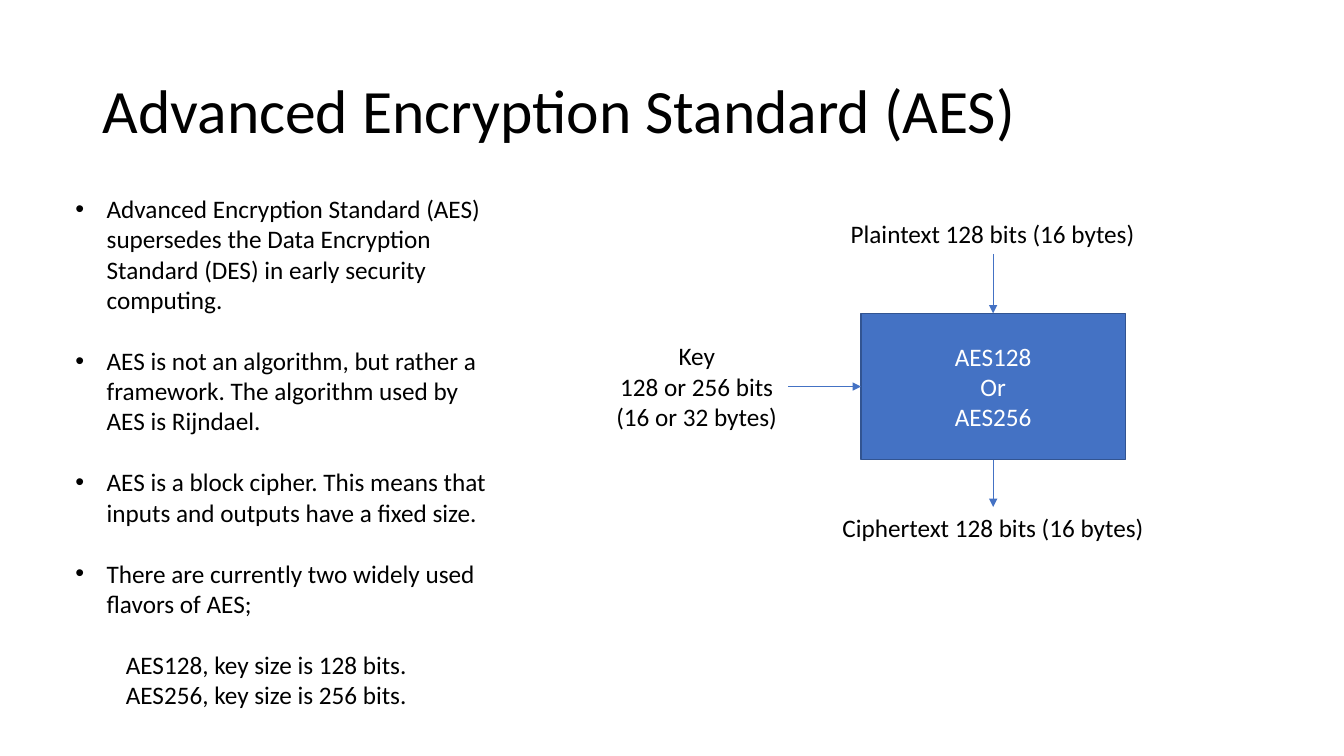
from lxml import etree
from pptx import Presentation
from pptx.dml.color import RGBColor
from pptx.enum.shapes import MSO_CONNECTOR, MSO_SHAPE
from pptx.enum.text import MSO_ANCHOR, PP_ALIGN
from pptx.oxml.ns import qn
from pptx.util import Inches, Pt

CENTER, LEFT = PP_ALIGN.CENTER, PP_ALIGN.LEFT
MIDDLE, TOP = MSO_ANCHOR.MIDDLE, MSO_ANCHOR.TOP
STRAIGHT, RECTANGLE = MSO_CONNECTOR.STRAIGHT, MSO_SHAPE.RECTANGLE

COLORS = {"text": "000000", "cipher": "4472C4", "outline": "325491", "cipher_text": "FFFFFF"}
FONT = "Calibri"
BODY_SIZE = 18
LINE_GAP = Pt(22)

BULLETS = [
    "Advanced Encryption Standard (AES) supersedes the Data Encryption Standard (DES) "
    "in early security computing.",
    "AES is not an algorithm, but rather a framework. The algorithm used by AES is Rijndael.",
    "AES is a block cipher. This means that inputs and outputs have a fixed size.",
    "There are currently two widely used flavors of AES;",
]
FLAVORS = ["AES128, key size is 128 bits.", "AES256, key size is 256 bits."]


def rgb(name):
    return RGBColor.from_string(COLORS[name])


def write(frame, lines, size=BODY_SIZE, color="text", align=LEFT, anchor=TOP):
    frame.text = "\n".join(lines)
    frame.vertical_anchor = anchor
    for paragraph in frame.paragraphs:
        paragraph.alignment = align
        font = paragraph.runs[0].font
        font.name, font.size = FONT, Pt(size)
        font.color.rgb = rgb(color)


def add_text(slide, box, lines, wrap=True, **style):
    frame = slide.shapes.add_textbox(*map(Inches, box)).text_frame
    frame.word_wrap = wrap
    write(frame, lines, **style)
    return frame


def add_label(slide, box, *lines):
    add_text(slide, box, lines, wrap=False, align=CENTER)


def indent(paragraph, left, first=0, bullet=None):
    """Set the paragraph's indents in inches and, if given, its bullet character."""
    properties = paragraph._p.get_or_add_pPr()
    properties.set("marL", str(Inches(left)))
    properties.set("indent", str(Inches(first)))
    if bullet:
        etree.SubElement(properties, qn("a:buFont"), typeface="Arial")
        etree.SubElement(properties, qn("a:buChar"), char=bullet)


def add_facts(slide):
    frame = add_text(slide, (0.65, 1.87, 4.34, 5.86), BULLETS + FLAVORS)
    for index, paragraph in enumerate(frame.paragraphs):
        if 0 < index <= len(BULLETS):
            paragraph.space_before = LINE_GAP
        if index < len(BULLETS):
            indent(paragraph, 0.31, -0.31, "•")
        else:
            paragraph.level = 1
            indent(paragraph, 0.5)


def add_cipher(slide, box, lines):
    cipher = slide.shapes.add_shape(RECTANGLE, *map(Inches, box))
    cipher.shadow.inherit = False
    cipher.fill.solid()
    cipher.fill.fore_color.rgb = rgb("cipher")
    cipher.line.color.rgb = rgb("outline")
    cipher.line.width = Pt(1)
    write(cipher.text_frame, lines, color="cipher_text", align=CENTER, anchor=MIDDLE)


def add_arrow(slide, start, end):
    arrow = slide.shapes.add_connector(STRAIGHT, *map(Inches, start + end))
    arrow.line.color.rgb = rgb("cipher")
    arrow.line.width = Pt(0.5)
    etree.SubElement(arrow.line._get_or_add_ln(), qn("a:tailEnd"), type="triangle")
    etree.SubElement(arrow._element.spPr, qn("a:effectLst"))


def add_diagram(slide):
    left, top, width, height = cipher_box = (8.54, 3.11, 2.62, 1.45)
    center, middle, bottom = left + width / 2, top + height / 2, top + height
    add_cipher(slide, cipher_box, ["AES128", "Or", "AES256"])
    add_label(slide, (8.32, 2.12, 3.05, 0.4), "Plaintext 128 bits (16 bytes)")
    add_label(slide, (8.24, 5.03, 3.22, 0.4), "Ciphertext 128 bits (16 bytes)")
    add_label(slide, (6, 3.33, 1.82, 1.01), "Key", "128 or 256 bits", "(16 or 32 bytes)")
    add_arrow(slide, (7.82, middle), (left, middle))
    add_arrow(slide, (center, 2.52), (center, top))
    add_arrow(slide, (center, bottom), (center, 5.03))


def main():
    presentation = Presentation()
    presentation.slide_width, presentation.slide_height = Inches(13.33), Inches(7.5)
    slide = presentation.slides.add_slide(presentation.slide_layouts[6])
    title = add_text(slide, (0.92, 0.4, 11.5, 1.45), ["Advanced Encryption Standard (AES)"],
                     size=44, anchor=MIDDLE)
    title.paragraphs[0].line_spacing = 0.9
    add_diagram(slide)
    add_facts(slide)
    presentation.save("out.pptx")


if __name__ == "__main__":
    main()
